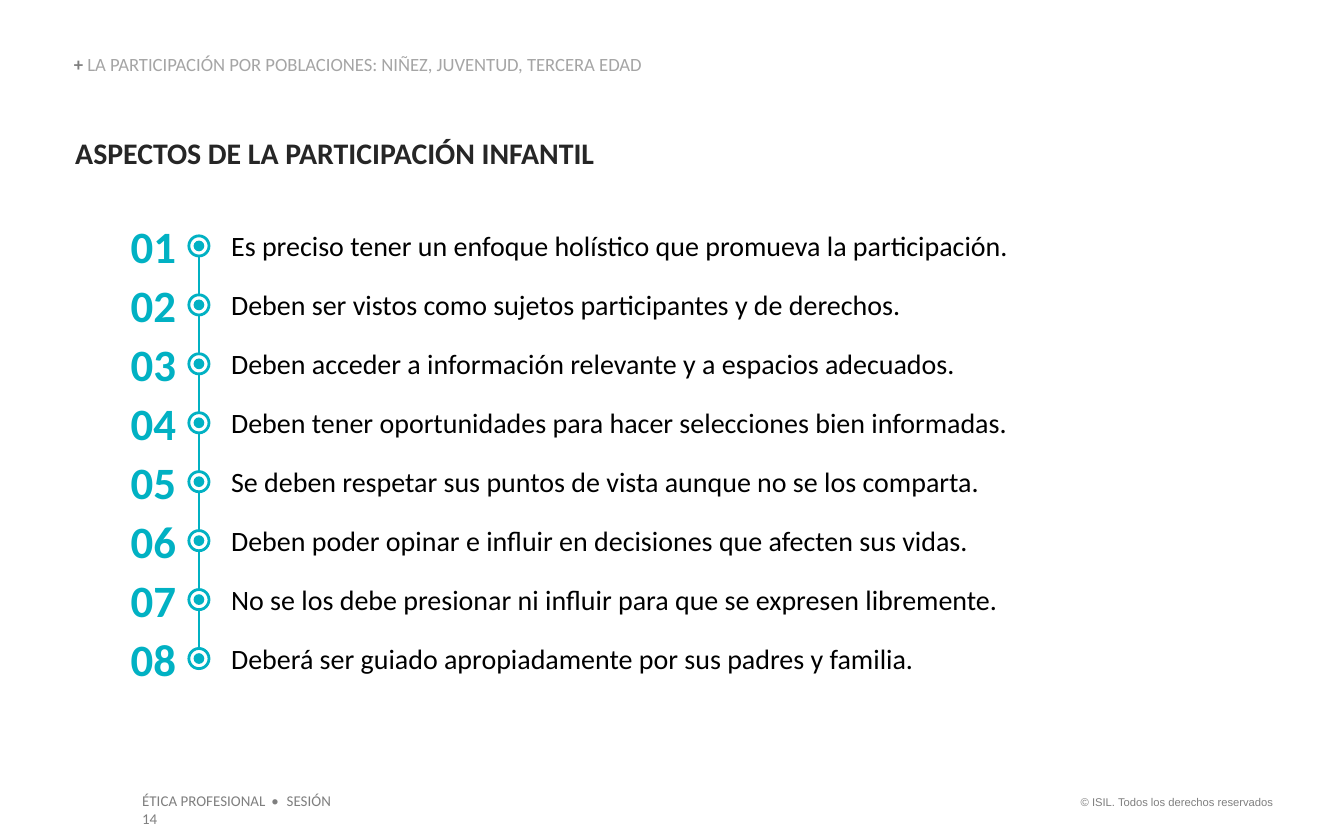
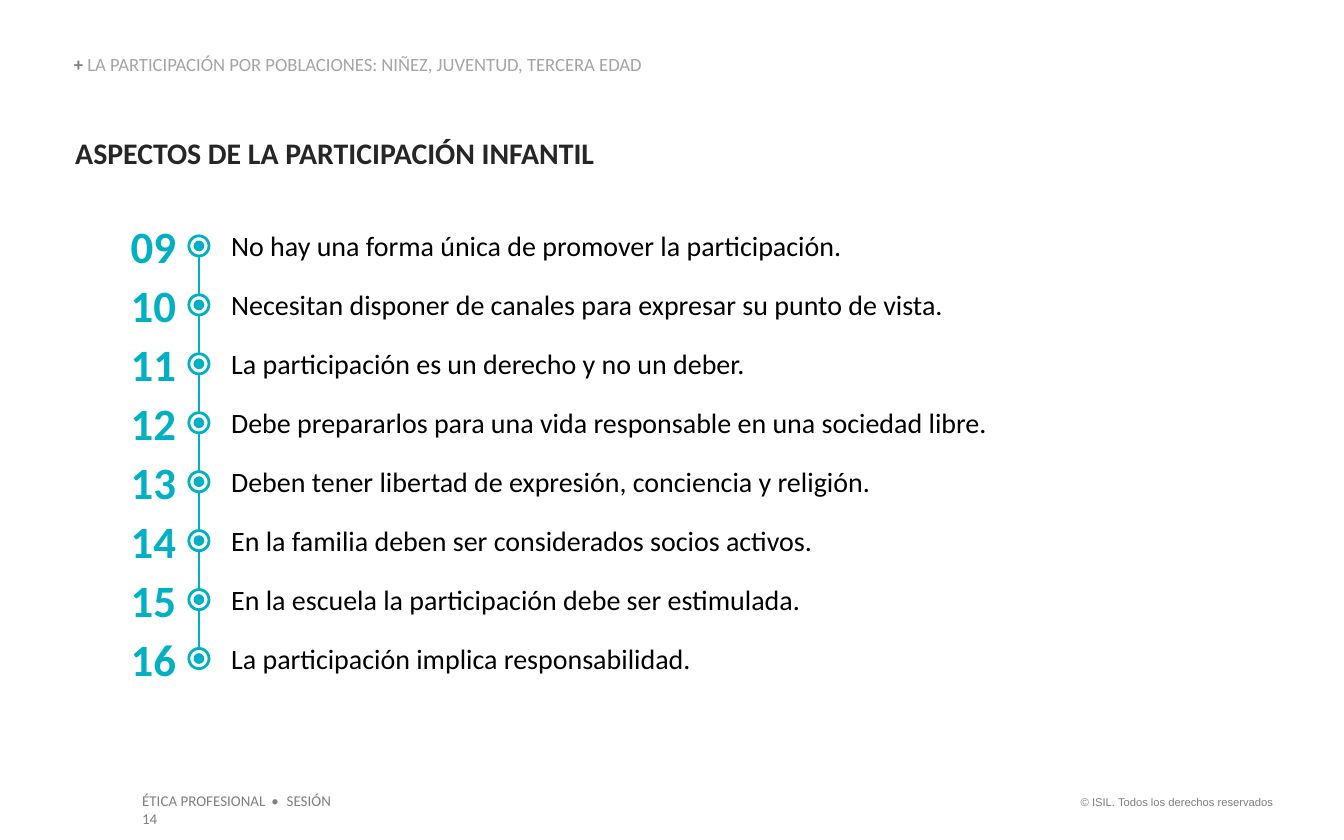
from dataclasses import dataclass

from pptx import Presentation
from pptx.dml.color import RGBColor
from pptx.enum.shapes import MSO_CONNECTOR as Connector, MSO_SHAPE as Preset
from pptx.enum.text import MSO_ANCHOR as Anchor, MSO_AUTO_SIZE as AutoSize, PP_ALIGN as Align
from pptx.oxml.xmlchemy import OxmlElement
from pptx.util import Inches, Pt

# Palette
TEAL = RGBColor(0x01, 0xB1, 0xC3)
WHITE = RGBColor(0xFF, 0xFF, 0xFF)
BLACK = RGBColor(0x00, 0x00, 0x00)
CHARCOAL = RGBColor(0x26, 0x26, 0x26)
GRAY = RGBColor(0x7F, 0x7F, 0x7F)
LIGHT_GRAY = RGBColor(0xA5, 0xA5, 0xA5)

# Timeline geometry, in inches
ROWS = 8
FIRST_CENTER, LAST_CENTER = 1.83, 4.9
PITCH = (LAST_CENTER - FIRST_CENTER) / (ROWS - 1)
AXIS_X = 1.48
RING, DOT = 0.15, 0.08


@dataclass(frozen=True)
class Box:
    left: float
    top: float
    width: float
    height: float


@dataclass(frozen=True)
class TextStyle:
    size: float
    color: RGBColor
    bold: bool = False
    font: str = "Calibri"
    align: Align = Align.LEFT
    anchor: Anchor = Anchor.TOP
    inset_x: float = 0
    inset_y: float = 0


@dataclass(frozen=True)
class AspectsSlide:
    first_number: int
    aspects: tuple[str, ...]


BREADCRUMB = TextStyle(10, LIGHT_GRAY, anchor=Anchor.BOTTOM)
TITLE = TextStyle(16, CHARCOAL, bold=True, inset_x=0.01)
ASPECT = TextStyle(15, BLACK)
NUMBER = TextStyle(24, TEAL, bold=True, align=Align.RIGHT)
COURSE = TextStyle(8, GRAY, inset_x=0.1, inset_y=0.05)
COPYRIGHT = TextStyle(6, GRAY, font="Arial", align=Align.RIGHT, inset_x=0.1, inset_y=0.05)

SLIDES = (
    AspectsSlide(1, (
        "Es preciso tener un enfoque holístico que promueva la participación.",
        "Deben ser vistos como sujetos participantes y de derechos.",
        "Deben acceder a información relevante y a espacios adecuados.",
        "Deben tener oportunidades para hacer selecciones bien informadas.",
        "Se deben respetar sus puntos de vista aunque no se los comparta.",
        "Deben poder opinar e influir en decisiones que afecten sus vidas.",
        "No se los debe presionar ni influir para que se expresen libremente.",
        "Deberá ser guiado apropiadamente por sus padres y familia.",
    )),
    AspectsSlide(9, (
        "No hay una forma única de promover la participación.",
        "Necesitan disponer de canales para expresar su punto de vista.",
        "La participación es un derecho y no un deber.",
        "Debe prepararlos para una vida responsable en una sociedad libre.",
        "Deben tener libertad de expresión, conciencia y religión.",
        "En la familia deben ser considerados socios activos.",
        "En la escuela la participación debe ser estimulada.",
        "La participación implica responsabilidad.",
    )),
)


def add_text(slide, box: Box, style: TextStyle, *texts: str):
    """Add a one-paragraph text box with one run per text; return the paragraph."""
    shape = slide.shapes.add_textbox(
        Inches(box.left), Inches(box.top), Inches(box.width), Inches(box.height))
    frame = shape.text_frame
    frame.word_wrap = True
    frame.auto_size = AutoSize.SHAPE_TO_FIT_TEXT
    frame.vertical_anchor = style.anchor
    frame.margin_left = frame.margin_right = Inches(style.inset_x)
    frame.margin_top = frame.margin_bottom = Inches(style.inset_y)
    paragraph = frame.paragraphs[0]
    paragraph.alignment = style.align
    for text in texts:
        paragraph.add_run().text = text
    font = paragraph.font
    font.name, font.size, font.bold = style.font, Pt(style.size), style.bold
    font.color.rgb = style.color
    return paragraph


def add_footer(slide) -> None:
    add_text(slide, Box(7.88, 5.87, 1.69, 0.2), COPYRIGHT,
             "© ISIL. Todos los derechos reservados")
    course = add_text(slide, Box(0.96, 5.84, 1.74, 0.24), COURSE,
                      "ÉTICA PROFESIONAL", " • ", "SESIÓN 14")
    # Letter spacing widens the gaps around the separator
    course.runs[1]._r.get_or_add_rPr().set("spc", "120")


def add_header(slide) -> None:
    breadcrumb = add_text(
        slide, Box(0.55, 0.41, 5.23, 0.15), BREADCRUMB,
        "+ ", "LA PARTICIPACIÓN POR POBLACIONES: NIÑEZ, JUVENTUD, TERCERA EDAD")
    breadcrumb.line_spacing = 0.9
    plus = breadcrumb.runs[0].font
    plus.bold = True
    plus.color.rgb = GRAY
    add_text(slide, Box(0.55, 1, 6.32, 0.27), TITLE, "ASPECTOS DE LA PARTICIPACIÓN INFANTIL")


def add_axis(slide) -> None:
    axis = slide.shapes.add_connector(
        Connector.STRAIGHT, Inches(AXIS_X), Inches(1.77), Inches(AXIS_X), Inches(4.97))
    axis.line.color.rgb = TEAL
    axis.line.width = Pt(1)
    axis._element.spPr.append(OxmlElement("a:effectLst"))


def add_circle(group, center_y: float, diameter: float, fill: RGBColor):
    circle = group.shapes.add_shape(
        Preset.OVAL, Inches(AXIS_X - diameter / 2), Inches(center_y - diameter / 2),
        Inches(diameter), Inches(diameter))
    circle.shadow.inherit = False
    circle.fill.solid()
    circle.fill.fore_color.rgb = fill
    return circle


def add_marker(slide, center_y: float) -> None:
    marker = slide.shapes.add_group_shape()
    ring = add_circle(marker, center_y, RING, WHITE)
    ring.line.color.rgb = TEAL
    ring.line.width = Pt(1.5)
    dot = add_circle(marker, center_y, DOT, TEAL)
    dot.line.fill.background()


def add_aspects(slide, content: AspectsSlide) -> None:
    add_axis(slide)
    for row, aspect in enumerate(content.aspects):
        center_y = FIRST_CENTER + row * PITCH
        add_text(slide, Box(1.72, center_y - 0.13, 6.17, 0.25), ASPECT, aspect)
        add_text(slide, Box(0.87, center_y - 0.2, 0.44, 0.4), NUMBER,
                 f"{content.first_number + row:02d}")
        add_marker(slide, center_y)


def main() -> None:
    presentation = Presentation()
    presentation.slide_width = Inches(10)
    presentation.slide_height = Inches(6.25)
    blank = presentation.slide_layouts[6]
    for content in SLIDES:
        slide = presentation.slides.add_slide(blank)
        add_footer(slide)
        add_header(slide)
        add_aspects(slide, content)
    presentation.save("out.pptx")


if __name__ == "__main__":
    main()
